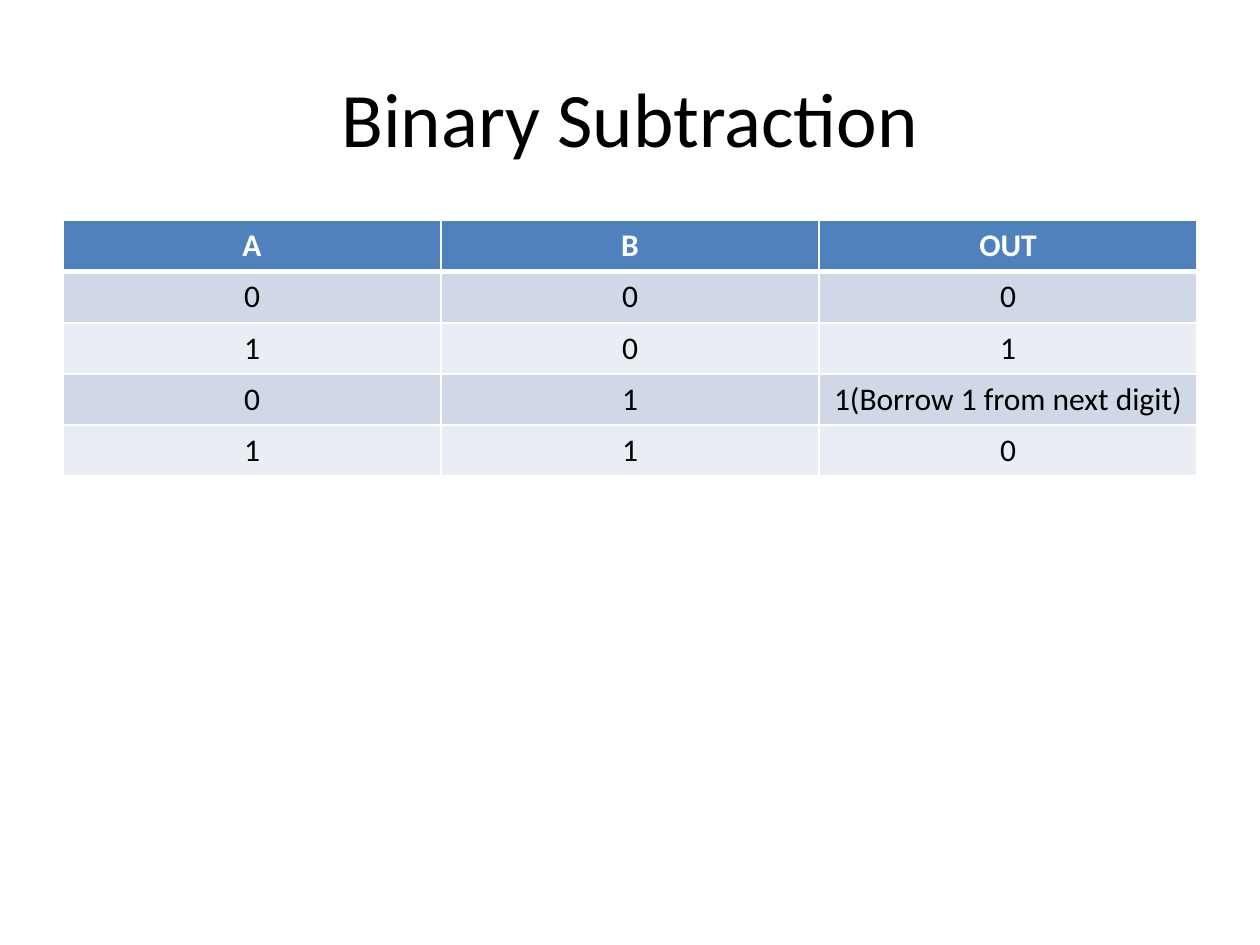
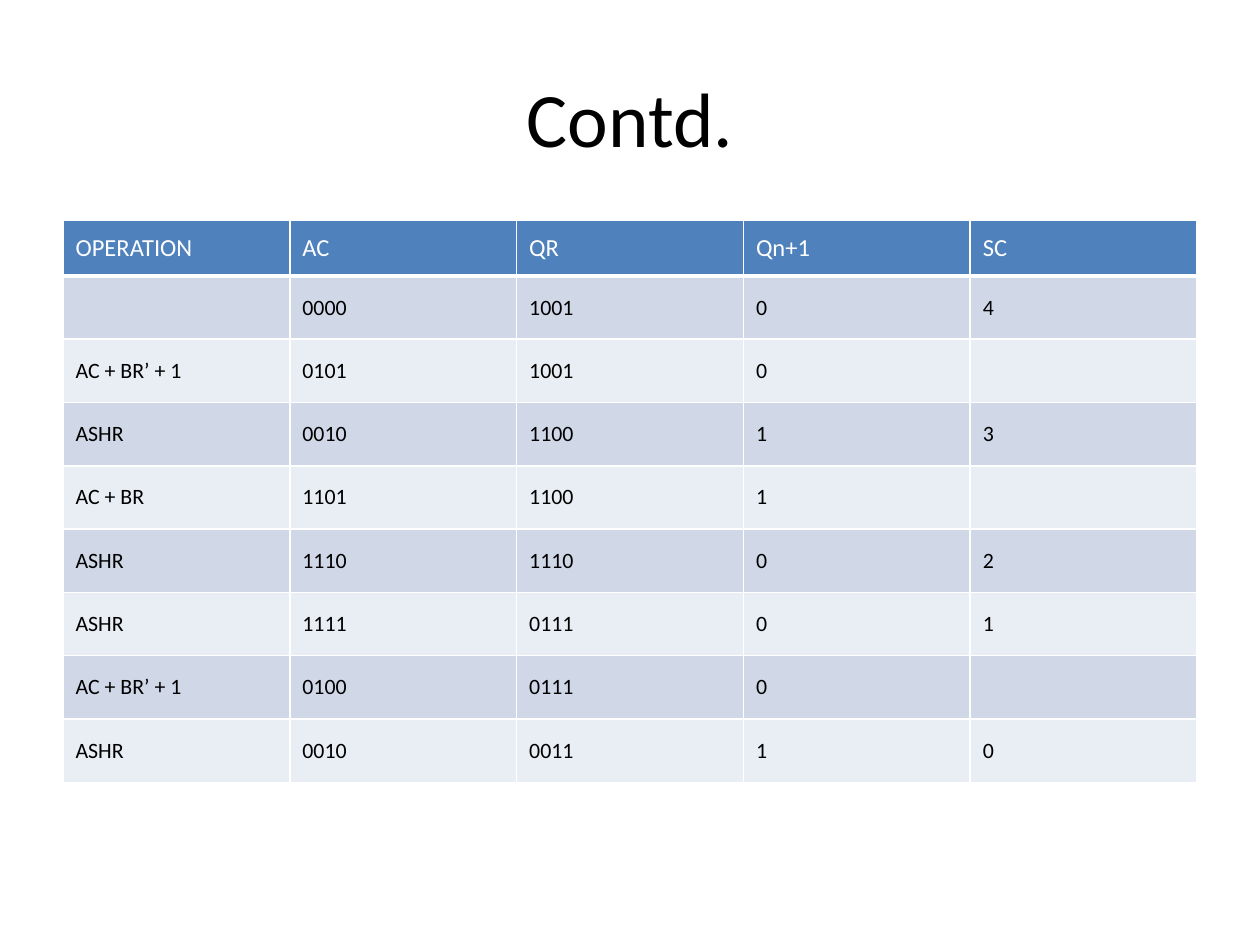
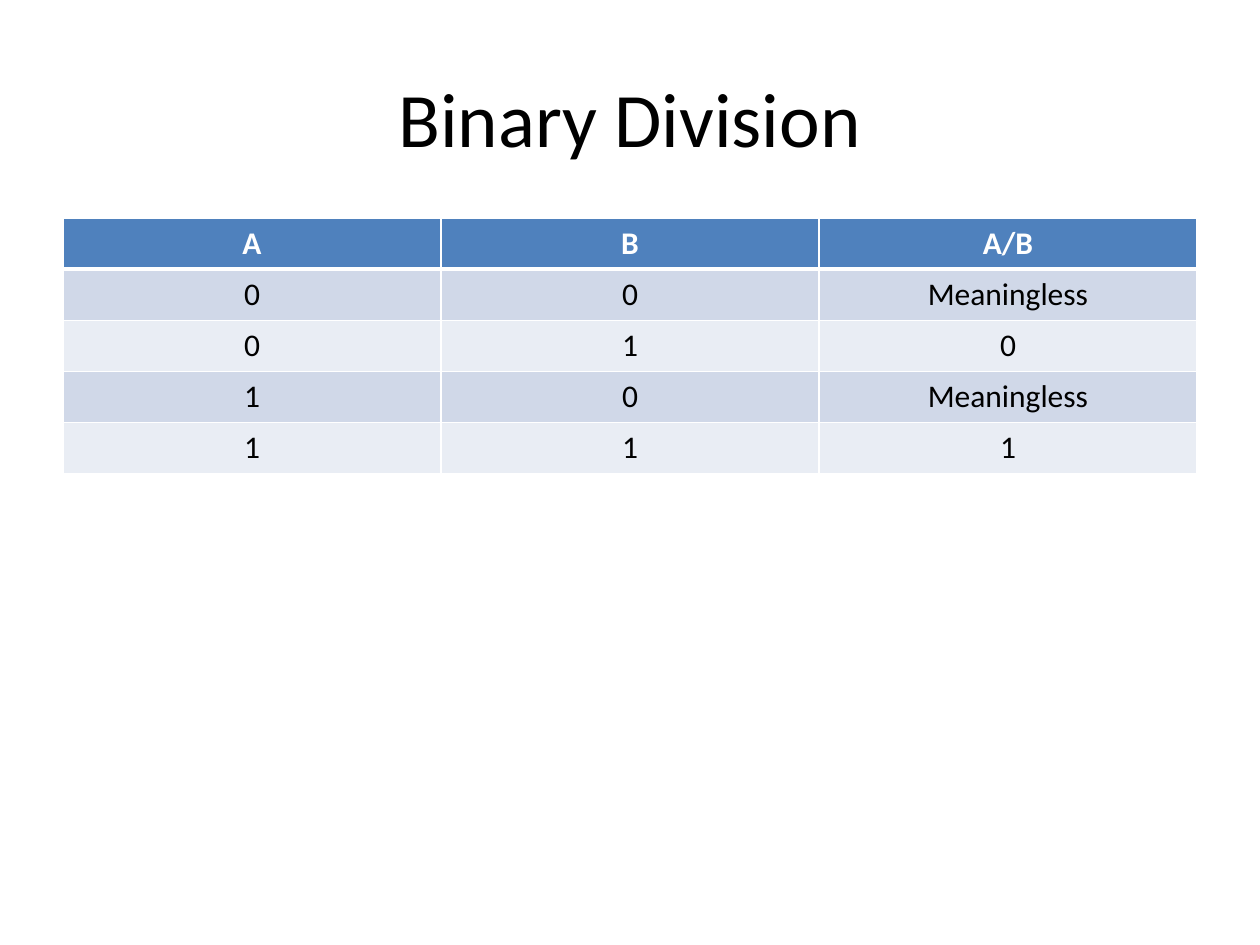
from dataclasses import dataclass

from lxml.etree import SubElement
from pptx import Presentation
from pptx.dml.color import RGBColor
from pptx.enum.text import MSO_ANCHOR, PP_ALIGN
from pptx.oxml.ns import qn
from pptx.util import Inches, Pt


@dataclass(frozen=True)
class Theme:
    font: str = "Calibri"
    ink: str = "000000"
    paper: str = "FFFFFF"
    head: str = "4F81BD"
    bands: tuple = ("D0D8E8", "E9EDF4")
    title: float = 44
    large: float = 18
    label: float = 14
    small: float = 12.5


theme = Theme()


def write(frame, text, size, color=theme.ink, bold=False, align=PP_ALIGN.CENTER):
    para = frame.paragraphs[0]
    para.alignment = align
    run = para.add_run()
    run.text = text
    run.font.name = theme.font
    run.font.size = Pt(size)
    run.font.bold = bold
    run.font.color.rgb = RGBColor.from_string(color)


def paint(cell, color, base):
    """Give a cell white borders, the lower one `base` points wide, and a fill."""
    props = cell._tc.get_or_add_tcPr()
    for side, width in (("L", 1), ("R", 1), ("T", 1), ("B", base)):
        line = SubElement(props, qn(f"a:ln{side}"), w=str(Pt(width)))
        fill = SubElement(line, qn("a:solidFill"))
        SubElement(fill, qn("a:srgbClr"), val=theme.paper)
    cell.fill.solid()
    cell.fill.fore_color.rgb = RGBColor.from_string(color)


# Formats of the two kinds of table: a truth table and a step trace
truth = dict(
    align=PP_ALIGN.CENTER, anchor=MSO_ANCHOR.TOP, bold=True, height=2.03,
    first=2.03 / 5, sizes=(theme.large, theme.large), pads=(0.05, 0.05),
)
trace = dict(
    align=PP_ALIGN.LEFT, anchor=MSO_ANCHOR.MIDDLE, bold=False, height=4.46,
    first=0.44, sizes=(theme.label, theme.small), pads=(0.1, 0.14),
)

slides = [
    ("Binary Subtraction", 1.75, truth, [
        ("A", "B", "OUT"),
        ("0", "0", "0"),
        ("1", "0", "1"),
        ("0", "1", "1(Borrow 1 from next digit)"),
        ("1", "1", "0"),
    ]),
    ("Contd.", 1.75, trace, [
        ("OPERATION", "AC", "QR", "Qn+1", "SC"),
        ("", "0000", "1001", "0", "4"),
        ("AC + BR’ + 1", "0101", "1001", "0", ""),
        ("ASHR", "0010", "1100", "1", "3"),
        ("AC + BR", "1101", "1100", "1", ""),
        ("ASHR", "1110", "1110", "0", "2"),
        ("ASHR", "1111", "0111", "0", "1"),
        ("AC + BR’ + 1", "0100", "0111", "0", ""),
        ("ASHR", "0010", "0011", "1", "0"),
    ]),
    ("Binary Division", 1.73, truth, [
        ("A", "B", "A/B"),
        ("0", "0", "Meaningless"),
        ("0", "1", "0"),
        ("1", "0", "Meaningless"),
        ("1", "1", "1"),
    ]),
]

deck = Presentation()
deck.slide_width, deck.slide_height = Inches(10), Inches(7.5)
left, width = Inches(0.5), Inches(9)

for name, top, look, rows in slides:
    slide = deck.slides.add_slide(deck.slide_layouts[5])
    title = slide.shapes.title
    title.left, title.top = left, Inches(0.3)
    title.width, title.height = width, Inches(1.25)
    title.text_frame.vertical_anchor = MSO_ANCHOR.MIDDLE
    write(title.text_frame, name, size=theme.title)

    grid = slide.shapes.add_table(
        len(rows), len(rows[0]), left, Inches(top), width, Inches(look["height"])
    ).table
    rest = (look["height"] - look["first"]) / (len(rows) - 1)

    for r, row in enumerate(rows):
        head = r == 0
        part = 0 if head else 1
        grid.rows[r].height = Inches(look["first"] if head else rest)
        for c, text in enumerate(row):
            cell = grid.cell(r, c)
            paint(cell, theme.head if head else theme.bands[(r - 1) % 2],
                  base=3 if head else 1)
            if not text:
                continue
            cell.vertical_anchor = look["anchor"]
            cell.margin_left = cell.margin_right = Inches(0.1)
            cell.margin_top = cell.margin_bottom = Inches(look["pads"][part])
            write(cell.text_frame, text, size=look["sizes"][part],
                  color=theme.paper if head else theme.ink,
                  bold=head and look["bold"], align=look["align"])

deck.save("out.pptx")
